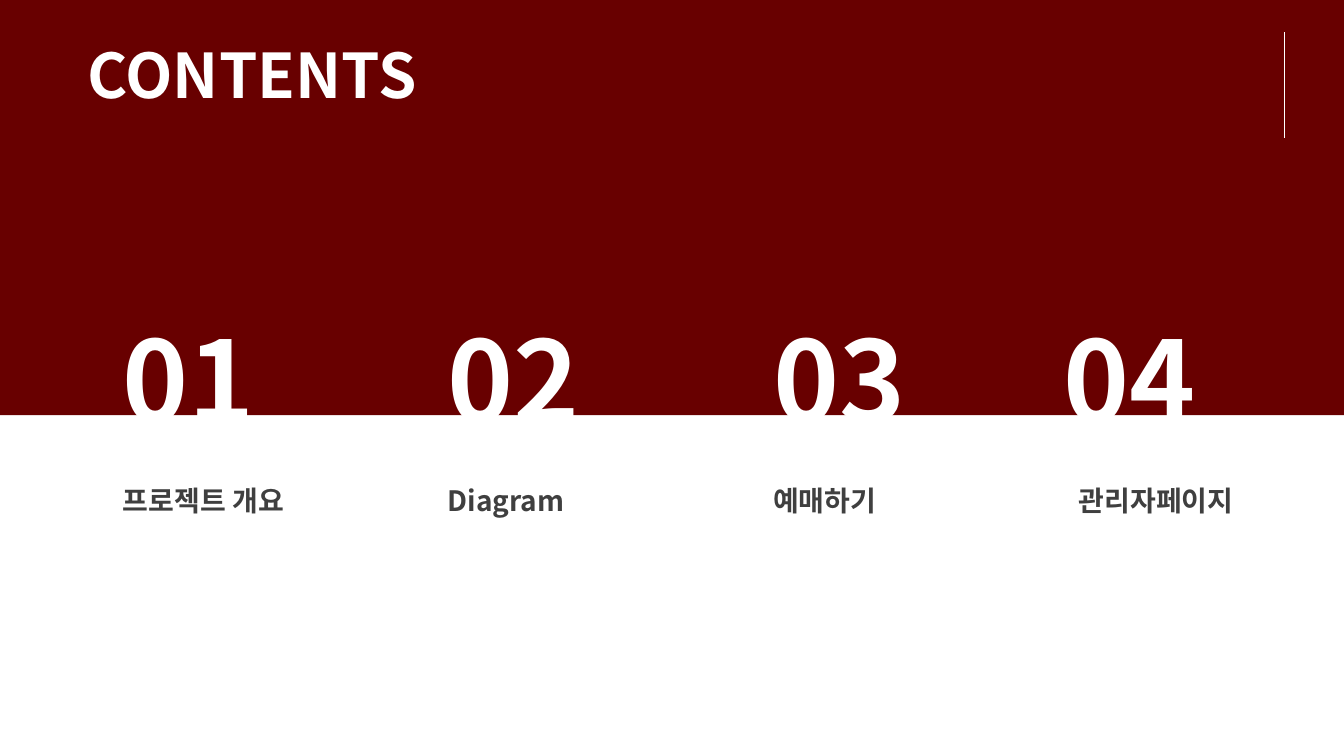
from lxml.etree import SubElement
from pptx import Presentation
from pptx.dml.color import RGBColor
from pptx.enum.shapes import MSO_CONNECTOR, MSO_SHAPE
from pptx.enum.text import MSO_AUTO_SIZE
from pptx.oxml.ns import qn
from pptx.util import Inches, Pt

FONT = "Noto Sans CJK KR"
COLORS = {"band": "680000", "white": "FFFFFF", "label": "3F3F3F"}

TITLE = "CONTENTS"
# label, left of number, left of label
ITEMS = [
    ("프로젝트 개요", 1.12, 1.12),
    ("Diagram", 4.34, 4.34),
    ("예매하기", 7.57, 7.57),
    ("관리자페이지", 10.45, 10.6),
]
NUMBER_TOP, LABEL_TOP = 3.03, 4.58


def color(name):
    return RGBColor.from_string(COLORS[name])


def add_text(slide, text, left, top, width, height, size, fill="white", spacing=None):
    box = slide.shapes.add_textbox(
        Inches(left), Inches(top), Inches(width), Inches(height))
    frame = box.text_frame
    frame.word_wrap = True
    frame.auto_size = MSO_AUTO_SIZE.SHAPE_TO_FIT_TEXT
    para = frame.paragraphs[0]
    if spacing:
        para.line_spacing = spacing
    run = para.add_run()
    run.text = text
    font = run.font
    font.name, font.size, font.bold = FONT, Pt(size), True
    font.color.rgb = color(fill)
    # Hangul takes its typeface from the East Asian font
    SubElement(run._r.get_or_add_rPr(), qn("a:ea")).set("typeface", FONT)


def add_band(slide):
    band = slide.shapes.add_shape(
        MSO_SHAPE.RECTANGLE, Inches(-0.33), Inches(-0.29), Inches(14), Inches(4.41))
    band.shadow.inherit = False
    band.fill.solid()
    band.fill.fore_color.rgb = color("band")
    band.line.fill.background()


def add_rule(slide):
    rule = slide.shapes.add_connector(
        MSO_CONNECTOR.STRAIGHT, Inches(12.74), Inches(0.32), Inches(12.74), Inches(1.37))
    rule.line.color.rgb = color("white")
    rule.line.width = Pt(0.75)
    SubElement(rule._element.spPr, qn("a:effectLst"))


def main():
    deck = Presentation()
    deck.slide_width, deck.slide_height = Inches(13.33), Inches(7.5)
    slide = deck.slides.add_slide(deck.slide_layouts[6])

    add_band(slide)
    for index, (label, number_left, label_left) in enumerate(ITEMS, 1):
        add_text(slide, f"{index:02}", number_left, NUMBER_TOP, 1.77, 1.45, size=80)
        add_text(slide, label, label_left, LABEL_TOP, 3.03, 0.54,
                 size=20, fill="label", spacing=1.5)
    add_text(slide, TITLE, 0.77, 0.32, 8.93, 0.84, size=44)
    add_rule(slide)

    deck.save("out.pptx")


if __name__ == "__main__":
    main()
